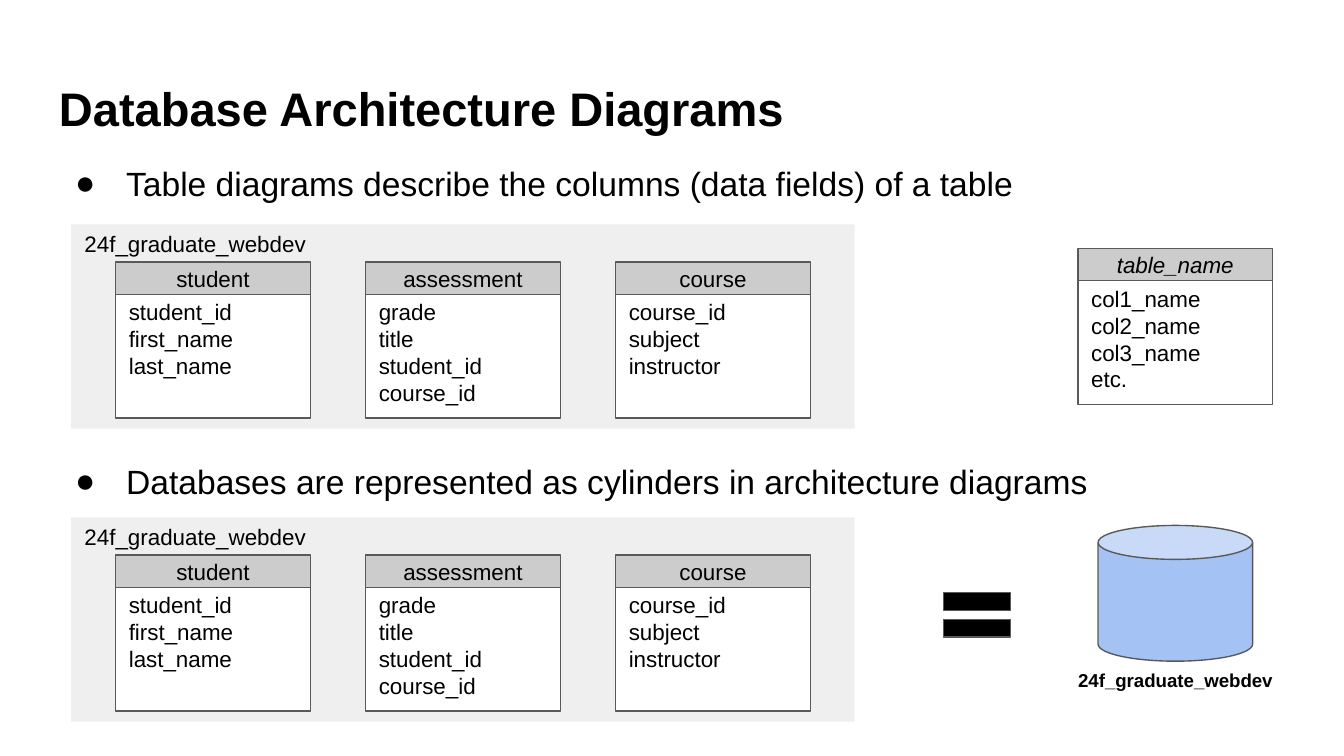
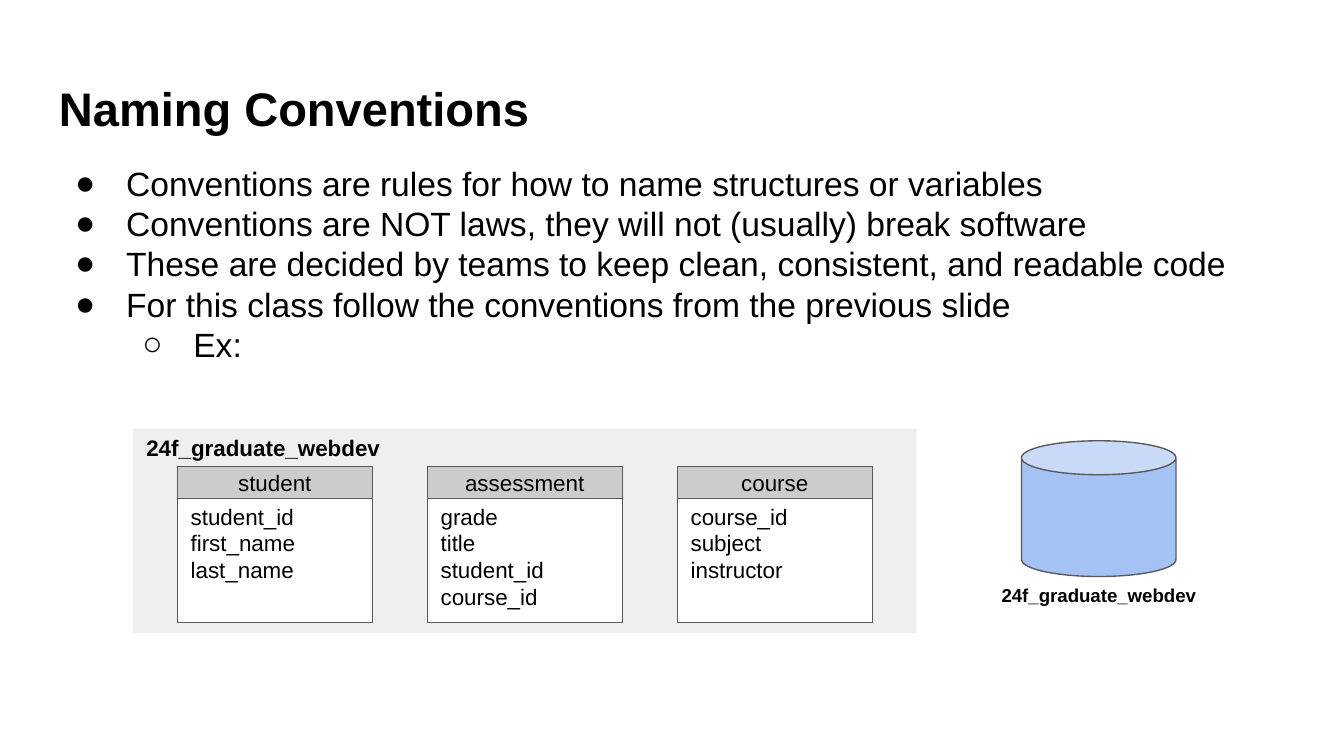
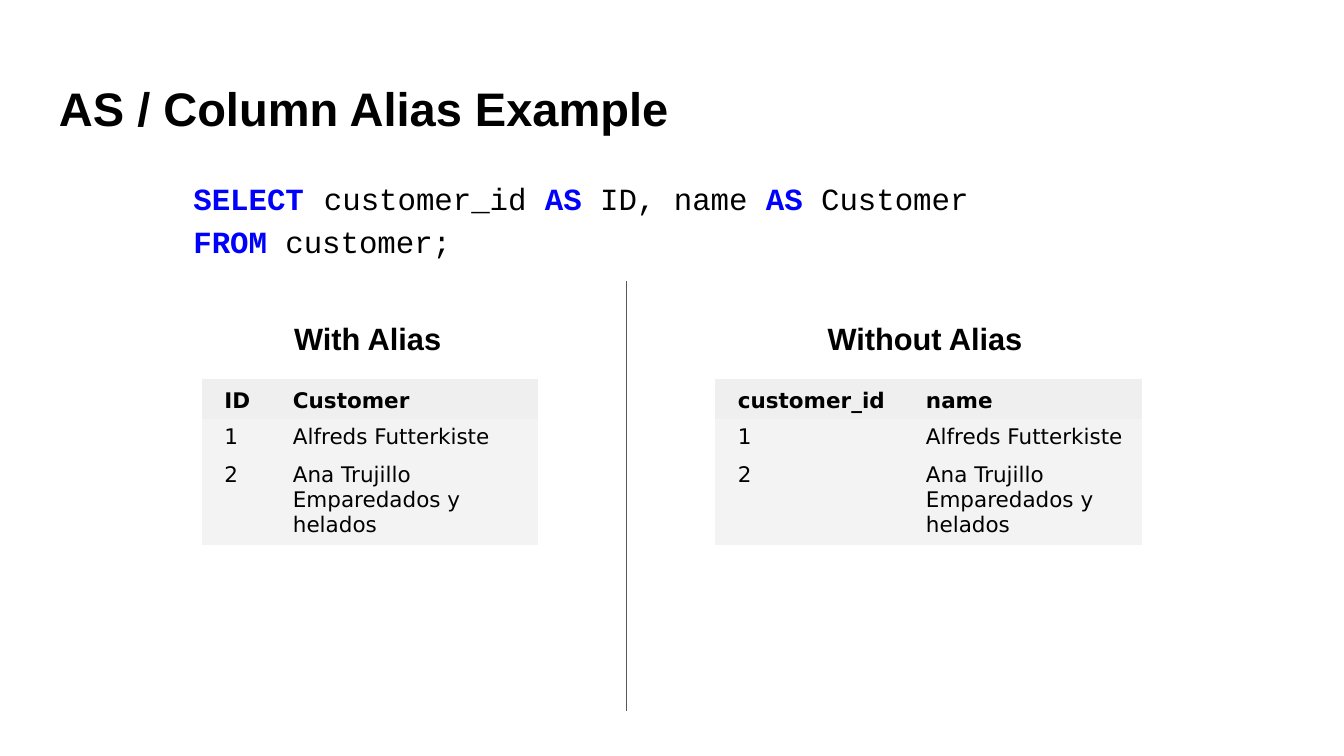
"""Build three slides on database diagrams, naming conventions and column aliases."""
from lxml import etree
from pptx import Presentation
from pptx.dml.color import RGBColor
from pptx.enum.shapes import MSO_CONNECTOR, MSO_SHAPE
from pptx.enum.text import MSO_ANCHOR, PP_ALIGN
from pptx.oxml.ns import qn
from pptx.util import Inches, Pt

RECT, CAN, EQUAL = MSO_SHAPE.RECTANGLE, MSO_SHAPE.CAN, MSO_SHAPE.MATH_EQUAL
STRAIGHT = MSO_CONNECTOR.STRAIGHT
LEFT, CENTER = PP_ALIGN.LEFT, PP_ALIGN.CENTER
TOP, MIDDLE = MSO_ANCHOR.TOP, MSO_ANCHOR.MIDDLE

BLACK = RGBColor(0x00, 0x00, 0x00)
WHITE = RGBColor(0xFF, 0xFF, 0xFF)
EDGE = RGBColor(0x59, 0x59, 0x59)
HEADER = RGBColor(0xCC, 0xCC, 0xCC)
PANEL = RGBColor(0xEF, 0xEF, 0xEF)
ROW = RGBColor(0xF3, 0xF3, 0xF3)
CYLINDER = RGBColor(0xA4, 0xC2, 0xF4)
KEYWORD = RGBColor(0x00, 0x00, 0xFF)

SANS, MONO, DATA = "Arial", "Courier New", "DejaVu Sans"
NO_TABLE_STYLE = "{2D5ABB26-0587-4C30-8999-92F81FD0307C}"
W = 10
H = W * 9 / 16
MARGIN = 0.34
BODY_W = W - 2 * MARGIN
BODY_Y = 1.11
ENTITY_W, ENTITY_PITCH = 1.45, 1.86
CAN_W, CAN_H = 1.15, 1.01

DATABASE = "24f_graduate_webdev"
ENTITIES = [
    ("student", ["student_id", "first_name", "last_name"]),
    ("assessment", ["grade", "title", "student_id", "course_id"]),
    ("course", ["course_id", "subject", "instructor"]),
]
TEMPLATE = ("table_name", ["col1_name", "col2_name", "col3_name", "etc."])

DIAGRAM_TITLE = "Database Architecture Diagrams"
DIAGRAM_SECTIONS = [
    ("Table diagrams describe the columns (data fields) of a table", BODY_Y, 0.75, 1.67),
    ("Databases are represented as cylinders in architecture diagrams", 3.33, 0.55, 3.85),
]

NAMING_TITLE = "Naming Conventions"
NAMING_BULLETS = [
    ("Conventions are rules for how to name structures or variables", 0),
    ("Conventions are NOT laws, they will not (usually) break software", 0),
    ("These are decided by teams to keep clean, consistent, and readable code", 0),
    ("For this class follow the conventions from the previous slide", 0),
    ("Ex:", 1),
]

ALIAS_TITLE = "AS / Column Alias Example"
QUERY = [
    [("SELECT", True, 16.5), (" ", False, 18), ("customer_id ", False, 16.5),
     ("AS ", True, 16.5), ("ID, name ", False, 16.5), ("AS", True, 16.5),
     (" Customer", False, 16.5)],
    [("FROM", True, 16.5), (" customer;", False, 16.5)],
]
QUERY_SPACING = [(1.36, 0), (1.15, 12)]
CUSTOMERS = [("1", "Alfreds Futterkiste"), ("2", "Ana Trujillo Emparedados y helados")]
RESULTS = [
    ("With Alias", 2.09, 1.31, ("ID", "Customer"), 1.5, (0.51, 1.99)),
    ("Without Alias", 6.06, 1.7, ("customer_id", "name"), 5.32, (1.4, 1.78)),
]
ROW_HEIGHTS = (0.3, 0.28, 0.64)


def add_run(p, text, size, bold=False, italic=False, color=BLACK, font=SANS):
    r = p.add_run()
    r.text = text
    r.font.name, r.font.size = font, Pt(size)
    r.font.bold, r.font.italic = bold, italic
    r.font.color.rgb = color


def paragraphs(tf, count):
    return [tf.paragraphs[0]] + [tf.add_paragraph() for _ in range(count - 1)]


def setup_frame(sp, anchor=TOP):
    tf = sp.text_frame
    tf.word_wrap = True
    tf.vertical_anchor = anchor
    tf.margin_left = tf.margin_right = tf.margin_top = tf.margin_bottom = Inches(0.1)
    return tf


def add_box(s, x, y, w, h):
    return setup_frame(s.shapes.add_textbox(Inches(x), Inches(y), Inches(w), Inches(h)))


def add_label(s, text, x, y, w, h, size, bold=False, align=LEFT):
    p = add_box(s, x, y, w, h).paragraphs[0]
    p.alignment = align
    add_run(p, text, size, bold)
    return p


def add_shape(s, kind, x, y, w, h, fill, outlined=True):
    sp = s.shapes.add_shape(kind, Inches(x), Inches(y), Inches(w), Inches(h))
    sp.shadow.inherit = False
    sp.fill.solid()
    sp.fill.fore_color.rgb = fill
    if outlined:
        sp.line.color.rgb = EDGE
        sp.line.width = Pt(0.75)
    else:
        sp.line.fill.background()
    return sp


def new_slide(prs, title):
    s = prs.slides.add_slide(prs.slide_layouts[6])
    add_label(s, title, MARGIN, 0.49, BODY_W, 0.63, 25.2, bold=True)
    return s


def indent(p, left, first=0):
    pPr = p._p.get_or_add_pPr()
    pPr.set("marL", str(Inches(left)))
    pPr.set("indent", str(Inches(first)))
    return pPr


def add_bullets(s, items, y, h):
    tf = add_box(s, MARGIN, y, BODY_W, h)
    for p, (text, level) in zip(paragraphs(tf, len(items)), items):
        p.level = level
        pPr = indent(p, 0.5 * (level + 1), -0.38)
        color = etree.SubElement(pPr, qn("a:buClr"))
        etree.SubElement(color, qn("a:srgbClr"), val=str(BLACK))
        etree.SubElement(pPr, qn("a:buSzPts"), val="1800")
        etree.SubElement(pPr, qn("a:buFont"), typeface=SANS)
        etree.SubElement(pPr, qn("a:buChar"), char="●○"[level])
        add_run(p, text, 18)


def add_entity(s, name, columns, x, y, italic=False):
    body = add_shape(s, RECT, x, y + 0.17, ENTITY_W, 0.99, WHITE)
    for p, column in zip(paragraphs(setup_frame(body), len(columns)), columns):
        p.alignment = LEFT
        add_run(p, column, 12)
    header = add_shape(s, RECT, x, y, ENTITY_W, 0.24, HEADER)
    p = setup_frame(header, MIDDLE).paragraphs[0]
    p.alignment = CENTER
    add_run(p, name, 12, italic=italic)


def add_database(s, x, y, bold=False):
    add_shape(s, RECT, x, y, 5.83, 1.52, PANEL, outlined=False)
    add_label(s, DATABASE, x, y - 0.06, 2.91, 0.37, 12, bold)
    for i, (name, columns) in enumerate(ENTITIES):
        add_entity(s, name, columns, x + 0.33 + i * ENTITY_PITCH, y + 0.28)


def add_cylinder(s, x, y, caption_w):
    can = add_shape(s, CAN, x, y, CAN_W, CAN_H, CYLINDER)
    can.adjustments[0] = 0.25
    add_label(s, DATABASE, x + (CAN_W - caption_w) / 2, y + 0.98, caption_w, 0.37,
              10, bold=True, align=CENTER)


def add_result(s, columns, x, y, widths):
    rows = [columns] + CUSTOMERS
    frame = s.shapes.add_table(len(rows), len(columns), Inches(x), Inches(y),
                               Inches(sum(widths)), Inches(sum(ROW_HEIGHTS)))
    table = frame.table
    table.horz_banding = False
    table._tbl.tblPr.find(qn("a:tableStyleId")).text = NO_TABLE_STYLE
    for column, width in zip(table.columns, widths):
        column.width = Inches(width)
    for i, (values, height) in enumerate(zip(rows, ROW_HEIGHTS)):
        table.rows[i].height = Inches(height)
        for j, value in enumerate(values):
            cell = table.cell(i, j)
            cell.fill.solid()
            cell.fill.fore_color.rgb = ROW if i else PANEL
            cell.margin_left, cell.margin_right = Inches(0.17), Inches(0.08)
            cell.margin_top = cell.margin_bottom = Inches(0.04)
            p = cell.text_frame.paragraphs[0]
            p.line_spacing = 1.0 if i else 1.15
            add_run(p, value, 11.5, bold=i == 0, font=DATA)


def diagrams_slide(prs):
    s = new_slide(prs, DIAGRAM_TITLE)
    for bullet, bullet_y, bullet_h, panel_y in DIAGRAM_SECTIONS:
        add_bullets(s, [(bullet, 0)], bullet_y, bullet_h)
        add_database(s, 0.53, panel_y)
    add_entity(s, *TEMPLATE, 8.02, 1.85, italic=True)
    equal = add_shape(s, EQUAL, 6.93, 4.3, 0.68, 0.55, BLACK)
    equal.adjustments[0], equal.adjustments[1] = 0.24, 0.12
    add_cylinder(s, 8.17, 3.91, 1.83)


def naming_slide(prs):
    s = new_slide(prs, NAMING_TITLE)
    add_bullets(s, NAMING_BULLETS, BODY_Y, 3.76)
    add_database(s, 0.99, 3.19, bold=True)
    add_cylinder(s, 7.6, 3.28, 1.66)


def alias_slide(prs):
    s = new_slide(prs, ALIAS_TITLE)
    tf = add_box(s, MARGIN, BODY_Y, BODY_W, 0.89)
    for p, runs, (spacing, after) in zip(paragraphs(tf, len(QUERY)), QUERY, QUERY_SPACING):
        indent(p, 1)
        p.line_spacing, p.space_after = spacing, Pt(after)
        for text, keyword, size in runs:
            add_run(p, text, size, bold=keyword, color=KEYWORD if keyword else BLACK,
                    font=MONO)
    for heading, heading_x, heading_w, columns, x, widths in RESULTS:
        p = add_label(s, heading, heading_x, 2.18, heading_w, 0.48, 16.5, bold=True)
        p.line_spacing = 1.36
        add_result(s, columns, x, 2.82, widths)
    divider = s.shapes.add_connector(STRAIGHT, Inches(4.66), Inches(2.09),
                                     Inches(4.66), Inches(5.29))
    divider.line.color.rgb = EDGE
    divider.line.width = Pt(0.75)
    etree.SubElement(divider._element.spPr, qn("a:effectLst"))


def main():
    prs = Presentation()
    prs.slide_width, prs.slide_height = Inches(W), Inches(H)
    diagrams_slide(prs)
    naming_slide(prs)
    alias_slide(prs)
    prs.save("out.pptx")


if __name__ == "__main__":
    main()
